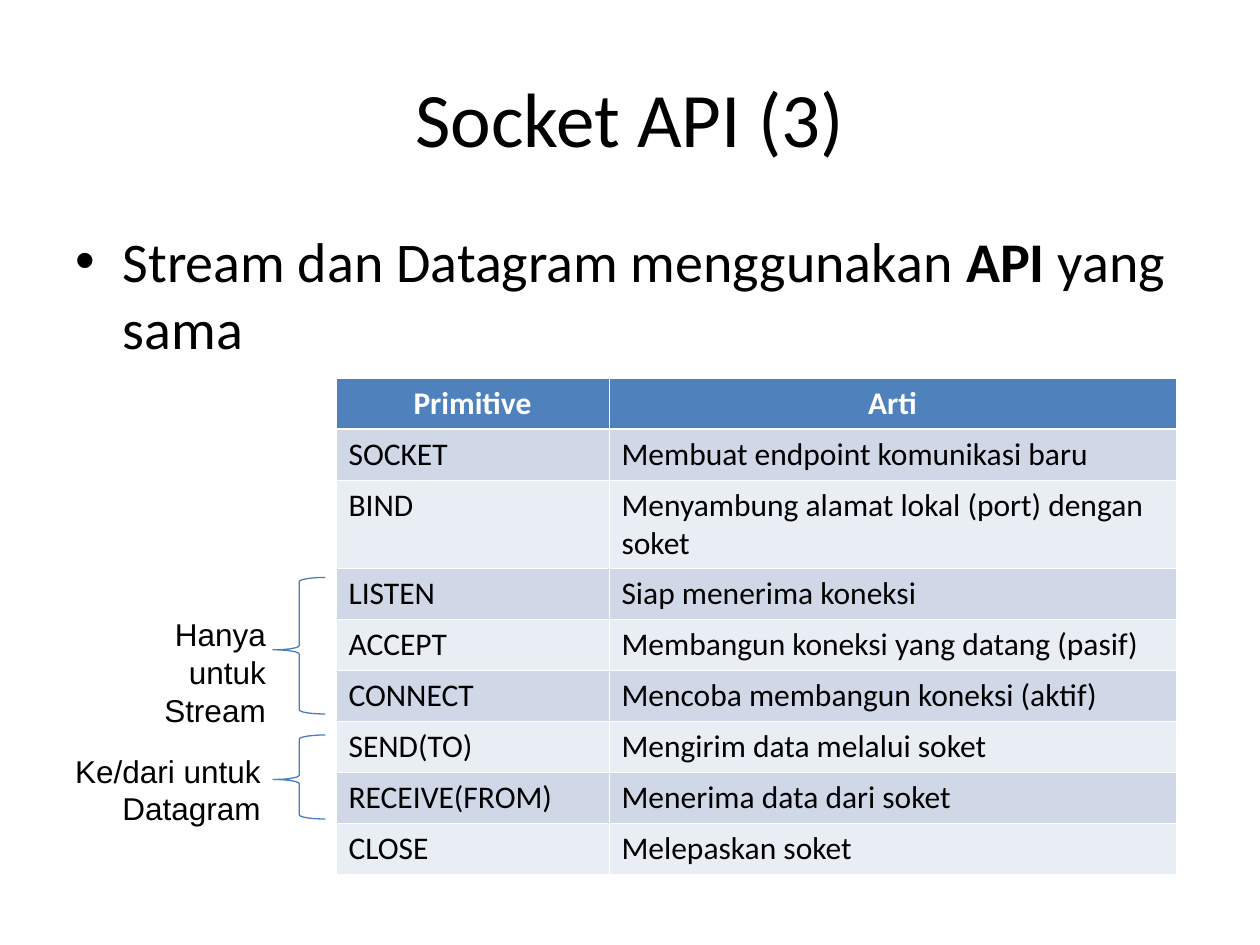
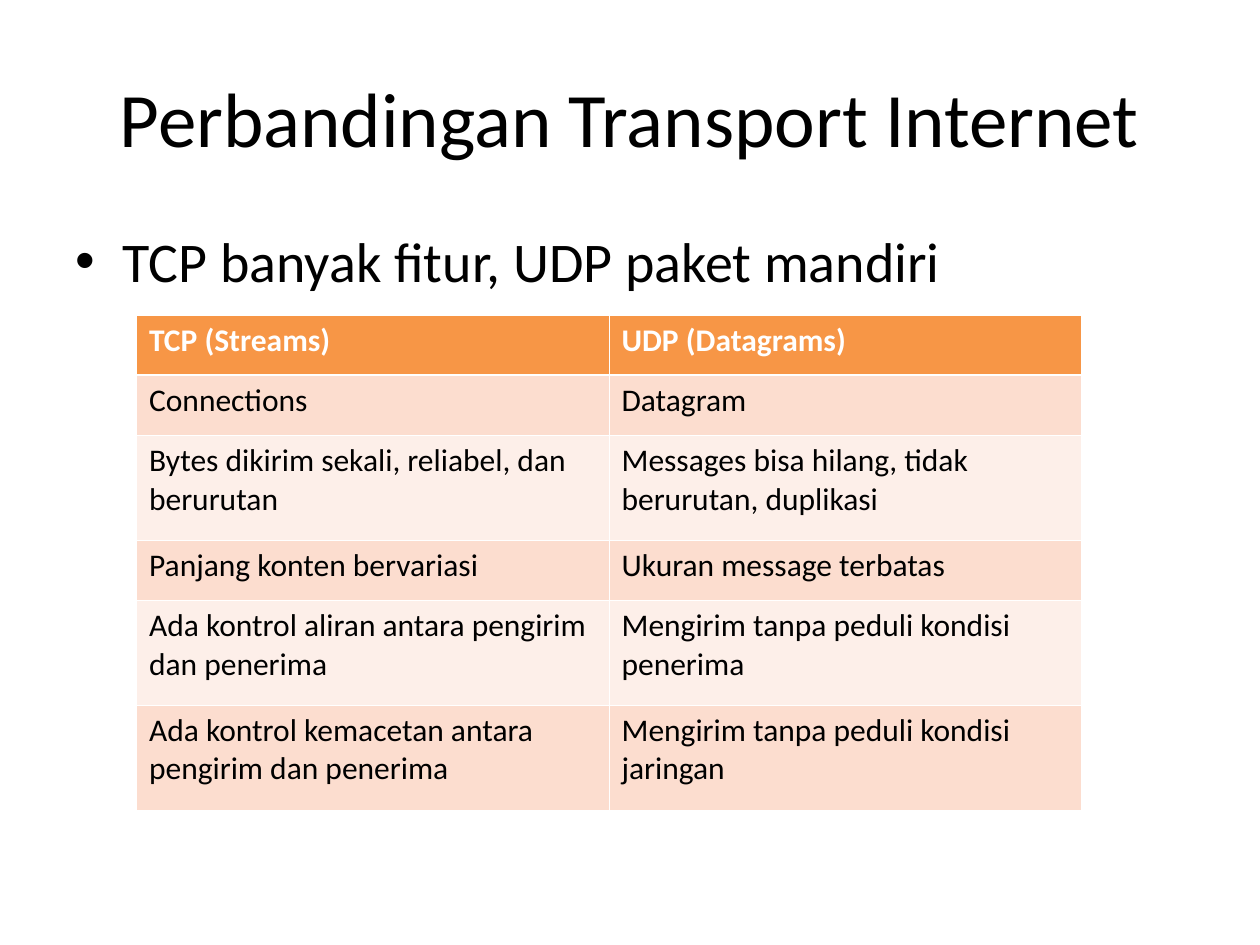
"""Build two slides on the socket API and the comparison of Internet transports."""
from dataclasses import dataclass
from typing import NamedTuple

from pptx import Presentation
from pptx.dml.color import RGBColor
from pptx.enum.shapes import MSO_SHAPE as Preset
from pptx.enum.text import MSO_ANCHOR as Anchor, PP_ALIGN as Align
from pptx.oxml import parse_xml
from pptx.oxml.ns import nsdecls
from pptx.slide import Slide
from pptx.table import _Cell as Cell
from pptx.text.text import TextFrame
from pptx.util import Pt


@dataclass(frozen=True)
class Theme:
    text: str = "000000"
    reverse: str = "FFFFFF"
    brace: str = "4A7EBB"
    heading_font: str = "Calibri"
    note_font: str = "Arial"
    title_size: float = 44
    point_size: float = 32
    small_size: float = 18
    point_indent: float = 27
    point_space: float = 8
    thin: float = 0.45
    thick: float = 1.47
    brace_line: float = 0.75


class Box(NamedTuple):
    left: float
    top: float
    width: float
    height: float


class Palette(NamedTuple):
    header: str
    odd: str
    even: str


@dataclass(frozen=True)
class Grid:
    left: float
    top: float
    columns: tuple[float, ...]
    single: float
    double: float
    double_rows: tuple[int, ...]
    palette: Palette
    header_align: Align
    rows: tuple[tuple[str, ...], ...]


@dataclass(frozen=True)
class BraceNote:
    text: str
    label: Box
    brace: Box


THEME = Theme()
TITLE = Box(36, 21.6, 648, 90)
POINT = Box(36, 126, 648, 356.4)

PRIMITIVES = Grid(
    192, 216, (156, 324), 29.16, 50.4, (2,),
    Palette("4F81BD", "D0D8E8", "E9EDF4"), Align.CENTER,
    (
        ("Primitive", "Arti"),
        ("SOCKET", "Membuat endpoint komunikasi baru"),
        ("BIND", "Menyambung alamat lokal (port) dengan soket"),
        ("LISTEN", "Siap menerima koneksi"),
        ("ACCEPT", "Membangun koneksi yang datang (pasif)"),
        ("CONNECT", "Mencoba membangun koneksi (aktif)"),
        ("SEND(TO)", "Mengirim data melalui soket"),
        ("RECEIVE(FROM)", "Menerima data dari soket"),
        ("CLOSE", "Melepaskan soket"),
    ),
)
TRANSPORTS = Grid(
    78, 180, (270, 270), 34.4, 59.9, (2, 4, 5),
    Palette("F79646", "FCDDCF", "FDEFE9"), Align.LEFT,
    (
        ("TCP (Streams)", "UDP (Datagrams)"),
        ("Connections", "Datagram"),
        ("Bytes dikirim sekali, reliabel, dan berurutan",
         "Messages bisa hilang, tidak berurutan, duplikasi"),
        ("Panjang konten bervariasi", "Ukuran message terbatas"),
        ("Ada kontrol aliran antara pengirim dan penerima",
         "Mengirim tanpa peduli kondisi penerima"),
        ("Ada kontrol kemacetan antara pengirim dan penerima",
         "Mengirim tanpa peduli kondisi jaringan"),
    ),
)
BRACE_NOTES = (
    BraceNote("Ke/dari untuk Datagram", Box(30, 426, 126, 50.4), Box(156, 420, 30, 48)),
    BraceNote("Hanya untuk Stream", Box(48, 348, 111, 72), Box(156, 330, 30, 78)),
)


def points(box: Box) -> list[Pt]:
    return [Pt(length) for length in box]


def write(frame: TextFrame, text: str, *, size: float = THEME.small_size,
          font: str = THEME.heading_font, color: str = THEME.text, bold: bool = False,
          align: Align = Align.LEFT, emphasis: str = "", bullet: bool = False) -> None:
    frame.word_wrap = True
    line = frame.paragraphs[0]
    line.alignment = align
    before, strong, after = text.partition(emphasis) if emphasis else (text, "", "")
    for part, is_bold in ((before, bold), (strong, True), (after, bold)):
        if part:
            run = line.add_run()
            run.text = part
            run.font.size = Pt(size)
            run.font.name = font
            run.font.bold = is_bold
            run.font.color.rgb = RGBColor.from_string(color)
    if bullet:
        line.space_before = Pt(THEME.point_space)
        properties = line._p.get_or_add_pPr()
        properties.set("marL", str(Pt(THEME.point_indent)))
        properties.set("indent", str(-Pt(THEME.point_indent)))
        properties.append(parse_xml(f'<a:buFont {nsdecls("a")} typeface="Arial"/>'))
        properties.append(parse_xml(f'<a:buChar {nsdecls("a")} char="•"/>'))


def add_text(slide: Slide, box: Box, text: str, *, anchor: Anchor = Anchor.TOP, **style) -> None:
    frame = slide.shapes.add_textbox(*points(box)).text_frame
    frame.vertical_anchor = anchor
    write(frame, text, **style)


def add_borders(cell: Cell, row: int) -> None:
    top = THEME.thick if row == 1 else THEME.thin
    bottom = THEME.thick if row == 0 else THEME.thin
    sides = {"lnL": THEME.thin, "lnR": THEME.thin, "lnT": top, "lnB": bottom}
    properties = cell._tc.get_or_add_tcPr()
    for side, width in sides.items():
        properties.append(parse_xml(
            f'<a:{side} {nsdecls("a")} w="{Pt(width)}"><a:solidFill>'
            f'<a:srgbClr val="{THEME.reverse}"/></a:solidFill></a:{side}>'))


def add_grid(slide: Slide, grid: Grid) -> None:
    heights = [grid.double if row in grid.double_rows else grid.single
               for row in range(len(grid.rows))]
    box = Box(grid.left, grid.top, sum(grid.columns), sum(heights))
    table = slide.shapes.add_table(len(heights), len(grid.columns), *points(box)).table
    for column, width in zip(table.columns, grid.columns):
        column.width = Pt(width)
    for row, (texts, height) in enumerate(zip(grid.rows, heights)):
        table.rows[row].height = Pt(height)
        is_header = row == 0
        band = grid.palette.odd if row % 2 else grid.palette.even
        for column, text in enumerate(texts):
            cell = table.cell(row, column)
            add_borders(cell, row)
            cell.fill.solid()
            cell.fill.fore_color.rgb = RGBColor.from_string(
                grid.palette.header if is_header else band)
            write(cell.text_frame, text, bold=is_header,
                  color=THEME.reverse if is_header else THEME.text,
                  align=grid.header_align if is_header else Align.LEFT)


def add_brace_note(slide: Slide, note: BraceNote) -> None:
    brace = slide.shapes.add_shape(Preset.LEFT_BRACE, *points(note.brace))
    brace.shadow.inherit = False
    brace.adjustments[0] = 0.08
    brace.adjustments[1] = 0.53
    brace.fill.background()
    brace.line.color.rgb = RGBColor.from_string(THEME.brace)
    brace.line.width = Pt(THEME.brace_line)
    add_text(slide, note.label, note.text, font=THEME.note_font, align=Align.RIGHT)


def add_topic(deck: Presentation, title: str, point: str, grid: Grid, emphasis: str = "") -> Slide:
    slide = deck.slides.add_slide(deck.slide_layouts[6])
    add_text(slide, TITLE, title, anchor=Anchor.MIDDLE, size=THEME.title_size, align=Align.CENTER)
    add_text(slide, POINT, point, size=THEME.point_size, emphasis=emphasis, bullet=True)
    add_grid(slide, grid)
    return slide


def main() -> None:
    deck = Presentation()
    deck.slide_width, deck.slide_height = Pt(720), Pt(540)
    socket_api = add_topic(deck, "Socket API (3)",
                           "Stream dan Datagram menggunakan API yang sama", PRIMITIVES, "API")
    for note in BRACE_NOTES:
        add_brace_note(socket_api, note)
    add_topic(deck, "Perbandingan Transport Internet",
              "TCP banyak fitur, UDP paket mandiri", TRANSPORTS)
    deck.save("out.pptx")


if __name__ == "__main__":
    main()
